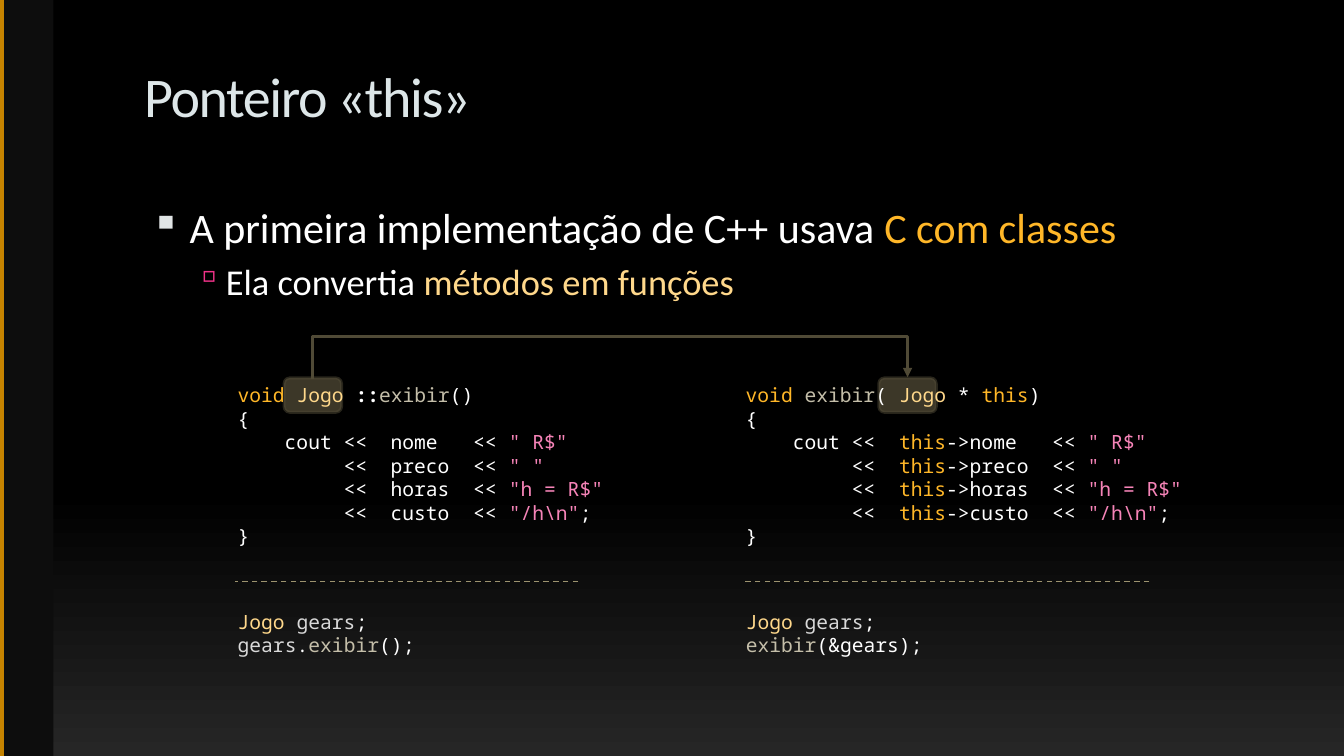
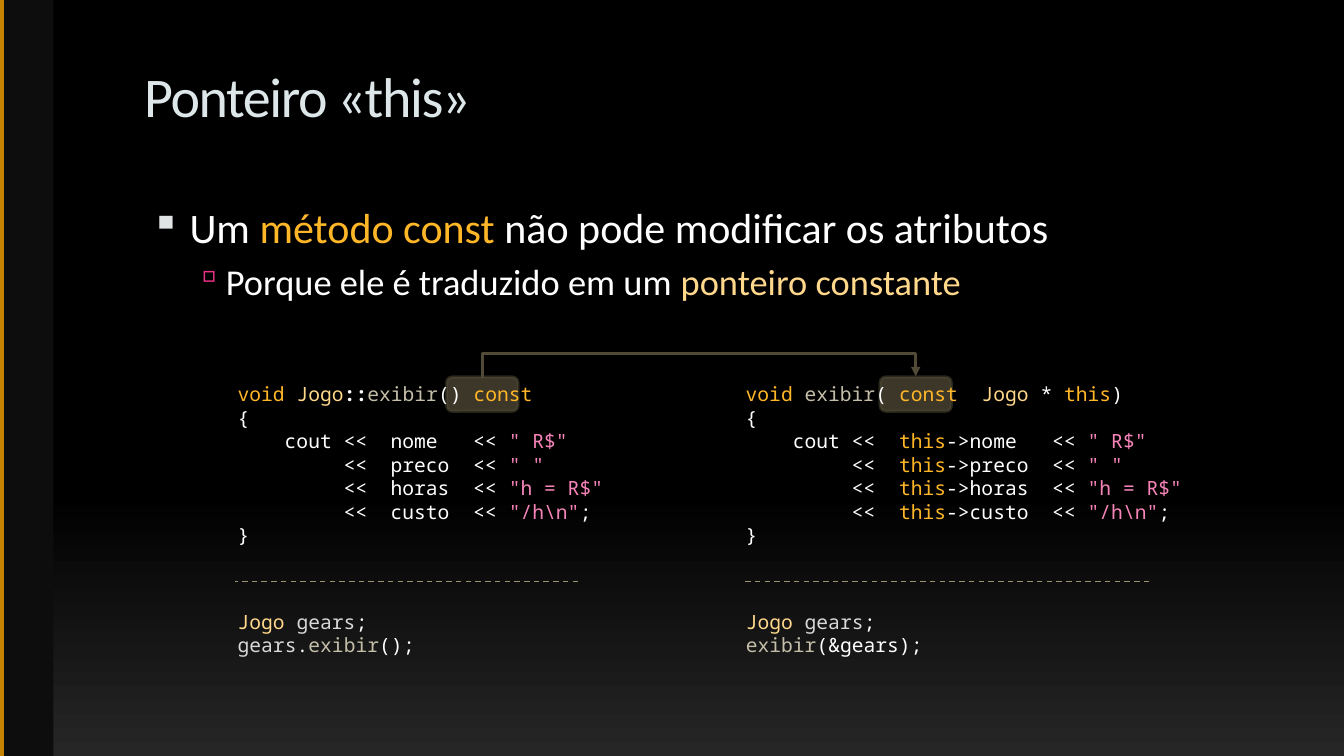
from copy import deepcopy
from dataclasses import dataclass
from typing import NamedTuple

from lxml import etree
from pptx import Presentation
from pptx.dml.color import RGBColor
from pptx.enum import dml, shapes, text
from pptx.oxml import parse_xml
from pptx.oxml.ns import nsdecls, qn
from pptx.util import Pt

BLACK = RGBColor(0x00, 0x00, 0x00)
SMOKE = RGBColor(0x26, 0x26, 0x26)
BAND = RGBColor(0x0D, 0x0D, 0x0D)
AMBER = RGBColor(0xC5, 0x83, 0x00)
WHITE = RGBColor(0xFF, 0xFF, 0xFF)
MIST = RGBColor(0xDD, 0xE6, 0xE8)
SILVER = RGBColor(0xE0, 0xE4, 0xE5)
MAGENTA = RGBColor(0xF0, 0x32, 0x88)
GOLD = RGBColor(0xFF, 0xB7, 0x28)
SAND = RGBColor(0xFF, 0xD8, 0x8B)
ROSE = RGBColor(0xF6, 0x84, 0xB8)
KHAKI = RGBColor(0xC4, 0xBE, 0xA9)
GREY = RGBColor(0xD9, 0xD9, 0xD9)
OLIVE = RGBColor(0x78, 0x6F, 0x51)
MOSS = RGBColor(0x50, 0x4A, 0x36)
RULE = RGBColor(0x9D, 0x93, 0x6F)

SANS, MONO = "Calibri", "Noto Sans Mono"
WIDE, HIGH = 960, 540
LEFT, RIGHT = 162.7, 525.6


class Bit(NamedTuple):
    text: str
    color: RGBColor = WHITE
    bold: bool = False


Line = list[Bit]


@dataclass
class Page:
    points: list[Line]
    method: Line
    func: Line
    top: float
    marks: tuple[float, float]
    width: float
    rise: float


def style(master, name: str, level: int, size: int, color: RGBColor,
          spc: int = 0, attrs: str = "", inner: str = "") -> None:
    """Replace one level of a text style of the master."""
    old = master.element.find(f".//{qn('p:' + name)}/{qn(f'a:lvl{level}pPr')}")
    new = parse_xml(
        f'<a:lvl{level}pPr {nsdecls("a")} algn="l" {attrs}>{inner}'
        f'<a:defRPr sz="{size * 100}" spc="{spc}"><a:solidFill>'
        f'<a:srgbClr val="{color}"/></a:solidFill>'
        f'<a:latin typeface="{SANS}"/></a:defRPr></a:lvl{level}pPr>')
    old.getparent().replace(old, new)


def bullet(space: str, color: RGBColor, size: int, char: str) -> str:
    return (f'<a:spcBef>{space}</a:spcBef>'
            f'<a:buClr><a:srgbClr val="{color}"/></a:buClr>'
            f'<a:buSzPct val="{size * 1000}"/><a:buChar char="{char}"/>')


def indent(left: float, hang: float) -> str:
    return f'marL="{Pt(left)}" indent="{-Pt(hang)}"'


def place(shape, left: float, top: float, width: float, high: float) -> None:
    shape.left, shape.top = Pt(left), Pt(top)
    shape.width, shape.height = Pt(width), Pt(high)


def theme(master) -> None:
    """Set the background, placeholders and text styles of all slides."""
    fill = master.background.fill
    fill.gradient()
    fill.gradient_angle = 270
    stops = master.element.find(".//" + qn("a:gsLst"))
    stops.insert(1, deepcopy(stops[0]))
    tones = (0, BLACK), (0.65, BLACK), (1, SMOKE)
    for stop, (pos, color) in zip(fill.gradient_stops, tones):
        stop.position, stop.color.rgb = pos, color

    title, body = list(master.placeholders)[:2]
    place(title, 95.8, 40.3, 684.7, 72)
    place(body, 95.8, 140.4, 816, 360)
    title.text_frame.vertical_anchor = text.MSO_ANCHOR.TOP
    style(master, "titleStyle", 1, 40, MIST, spc=-100)
    style(master, "bodyStyle", 1, 30, WHITE, attrs=indent(32.4, 27.4),
          inner=bullet('<a:spcPts val="700"/>', SILVER, 95, "▪"))
    style(master, "bodyStyle", 2, 26, WHITE, attrs=indent(58.3, 22.3),
          inner=bullet('<a:spcPct val="20000"/>', MAGENTA, 90, "▫"))


def block(slide, kind, box: tuple, fill: RGBColor):
    shape = slide.shapes.add_shape(kind, *map(Pt, box))
    shape.shadow.inherit = False
    shape.fill.solid()
    shape.fill.fore_color.rgb = fill
    shape.line.fill.background()
    return shape


def line(slide, ends: tuple, color: RGBColor, width: float,
         kind=shapes.MSO_CONNECTOR.STRAIGHT):
    link = slide.shapes.add_connector(kind, *map(Pt, ends))
    link.line.color.rgb = color
    link.line.width = Pt(width)
    etree.SubElement(link.element.spPr, qn("a:effectLst"))
    return link


def edge(slide, master) -> None:
    """Draw the left band and move it to the master, behind all else."""
    band = block(slide, shapes.MSO_SHAPE.RECTANGLE, (0, 0, 38.2, HIGH), BAND)
    strip = line(slide, (1.5, 0, 1.5, HIGH), AMBER, 3)
    for i, part in enumerate((band, strip)):
        part.element.find(".//" + qn("p:cNvPr")).set("id", str(50 + i))
        master.shapes.element.insert(2 + i, part.element)


def write(para, bits: Line) -> None:
    for bit in bits:
        run = para.add_run()
        run.text = bit.text
        run.font.color.rgb = bit.color
        if bit.bold:
            run.font.bold = True


def code(slide, box: tuple, lines: list[Line]) -> None:
    frame = slide.shapes.add_textbox(*map(Pt, box)).text_frame
    frame.word_wrap = True
    frame.auto_size = text.MSO_AUTO_SIZE.SHAPE_TO_FIT_TEXT
    for i, bits in enumerate(lines):
        para = frame.add_paragraph() if i else frame.paragraphs[0]
        para.font.name, para.font.size = MONO, Pt(14)
        write(para, bits)


def listing(head: Line, this: bool) -> list[Line]:
    """Give the lines of the function, with or without the pointer."""
    rows = [head, [Bit("{")]]
    fields = (("nome", '" R$"'), ("preco", '" "'),
              ("horas", '"h = R$"'), ("custo", r'"/h\n"'))
    for i, (name, tail) in enumerate(fields):
        lead = "" if i else "    cout"
        start = f"{lead:8} <<  "
        end = f"{name:6} << "
        row = ([Bit(start), Bit("this", GOLD), Bit("->" + end)] if this
               else [Bit(start + end)])
        rows.append(row + [Bit(tail, ROSE)])
    rows[-1].append(Bit(";"))
    return rows + [[Bit("}")]]


def mark(slide, left: float, top: float, width: float):
    """Draw a half-transparent highlight behind a word."""
    box = block(slide, shapes.MSO_SHAPE.ROUNDED_RECTANGLE,
                (left, top, width, 24.5), OLIVE)
    box.line.color.rgb = MOSS
    box.line.width = Pt(2.25)
    for color in box.element.spPr.iter(qn("a:srgbClr")):
        etree.SubElement(color, qn("a:alpha")).set("val", "50000")
    return box


def bridge(slide, start, end, rise: float) -> None:
    """Join the tops of two marks by an arrow that runs above them."""
    x1, x2 = (box.left.pt + box.width.pt / 2 for box in (start, end))
    top, span, thin = start.top.pt, x2 - x1, 1
    link = line(slide, (x1, top, x2, top), MOSS, 2.25,
                shapes.MSO_CONNECTOR.ELBOW)
    link.begin_connect(start, 0)
    link.end_connect(end, 0)
    place(link, (x1 + x2 - thin) / 2, top - span / 2, thin, span)
    form = link.element.spPr.find(qn("a:xfrm"))
    for key, value in (("rot", "5400000"), ("flipH", "1"), ("flipV", "1")):
        form.set(key, value)
    guide = etree.SubElement(link.element.find(".//" + qn("a:avLst")),
                             qn("a:gd"))
    guide.set("name", "adj1")
    guide.set("fmla", f"val {round(rise / thin * 100000)}")
    tip = etree.SubElement(link.element.find(".//" + qn("a:ln")),
                           qn("a:tailEnd"))
    tip.set("type", "triangle")


def build(slide, page: Page) -> None:
    slide.shapes.title.text = "Ponteiro «this»"
    frame = slide.placeholders[1].text_frame
    for i, bits in enumerate(page.points):
        para = frame.add_paragraph() if i else frame.paragraphs[0]
        para.level = i
        write(para, bits)

    start, end = (mark(slide, x, page.top, page.width) for x in page.marks)
    code(slide, (LEFT, page.top, 294, 126), listing(page.method, False))
    code(slide, (RIGHT, page.top, 340.6, 126), listing(page.func, True))
    bridge(slide, start, end, page.rise)

    for x1, x2 in ((168, 413), (531, 821)):
        rule = line(slide, (x2, 415.5, x1, 415.5), RULE, 1)
        rule.line.dash_style = dml.MSO_LINE.DASH
    make = [Bit("Jogo ", SAND), Bit("gears", GREY), Bit(";")]
    calls = ((LEFT, [Bit("gears", GREY), Bit("."), Bit("exibir", KHAKI),
                     Bit("();")]),
             (RIGHT, [Bit("exibir", KHAKI), Bit("(&gears);")]))
    for left, call in calls:
        code(slide, (left, 432, 181.5, 41), [make, call])


VOID, SHOW = Bit("void ", GOLD), Bit("exibir", KHAKI)
SCOPE, GAME = Bit("::", bold=True), Bit("Jogo", SAND)
POINTER = [GAME, Bit(" * "), Bit("this", GOLD), Bit(")")]

PAGES = [
    Page(points=[[Bit("A primeira implementação de C++ usava "),
                  Bit("C com classes", GOLD)],
                 [Bit("Ela convertia "), Bit("métodos em funções", SAND)]],
         method=[VOID, Bit("Jogo ", SAND), SCOPE, SHOW, Bit("()")],
         func=[VOID, SHOW, Bit("( "), *POINTER],
         top=270, marks=(203, 627.8), width=41, rise=30.2),
    Page(points=[[Bit("Um "), Bit("método const", GOLD),
                  Bit(" não pode modificar os atributos")],
                 [Bit("Porque ele é traduzido em um "),
                  Bit("ponteiro constante", SAND)]],
         method=[VOID, GAME, SCOPE, SHOW, Bit("() "), Bit("const", GOLD)],
         func=[VOID, SHOW, Bit("( "), Bit("const  ", GOLD), *POINTER],
         top=269.3, marks=(319, 628.6), width=51, rise=17.5),
]


def main() -> None:
    deck = Presentation()
    deck.slide_width, deck.slide_height = Pt(WIDE), Pt(HIGH)
    master = deck.slide_master
    theme(master)
    for i, page in enumerate(PAGES):
        slide = deck.slides.add_slide(deck.slide_layouts[1])
        if i == 0:
            edge(slide, master)
        build(slide, page)
    deck.save("out.pptx")


if __name__ == "__main__":
    main()
